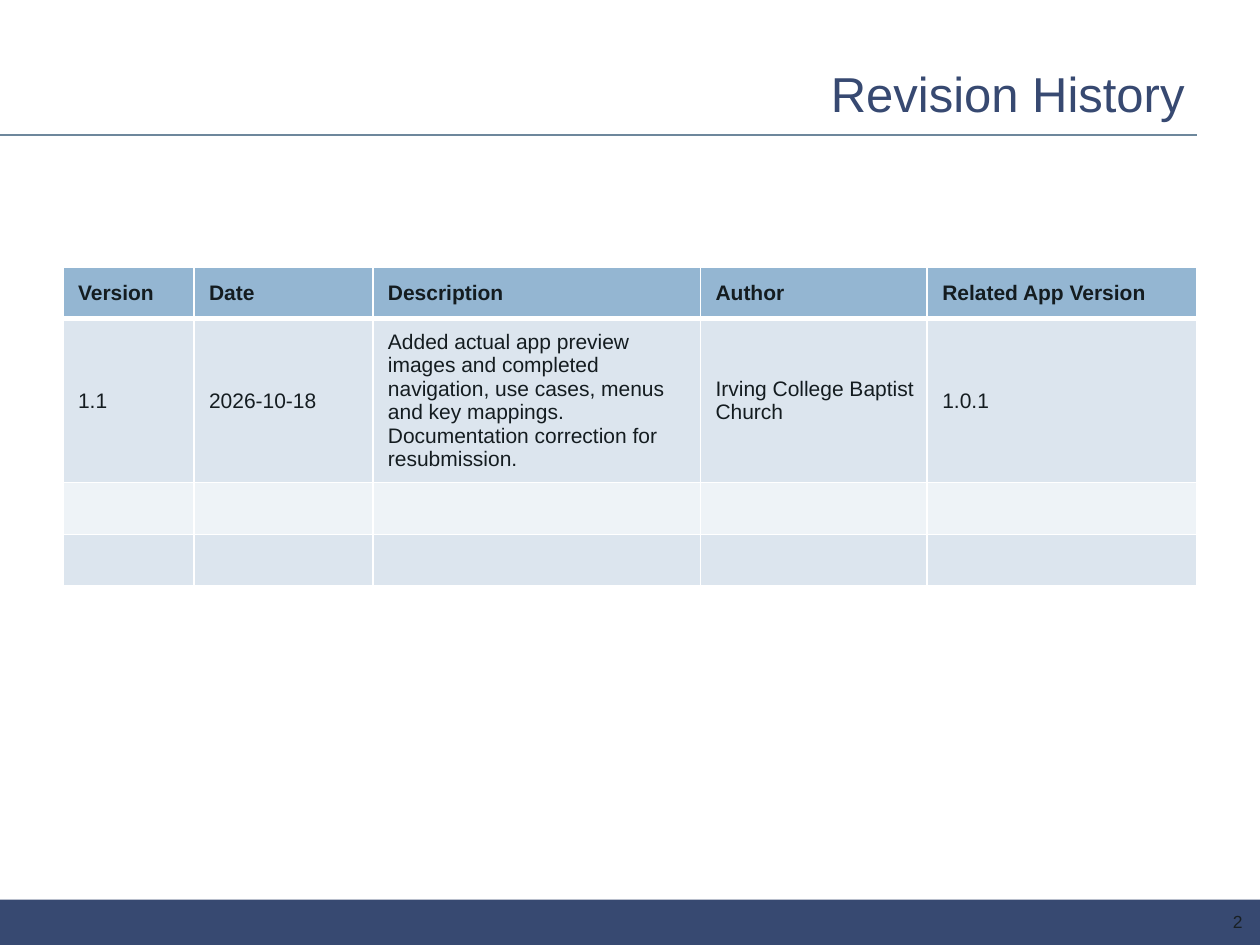
from dataclasses import dataclass

from lxml.etree import SubElement
from pptx import Presentation
from pptx.dml.color import RGBColor
from pptx.enum.shapes import MSO_CONNECTOR as Connector, MSO_SHAPE as Shape
from pptx.enum.text import MSO_ANCHOR as Anchor, PP_ALIGN as Align
from pptx.oxml.ns import qn
from pptx.util import Inches, Pt


@dataclass(frozen=True)
class Theme:
    font: str = "Arial"
    navy: str = "374971"
    rule: str = "6D879C"
    ink: str = "141C20"
    number_ink: str = "192024"
    header: str = "94B6D2"
    bands: tuple = ("DCE5EE", "EEF3F7")
    border: str = "FFFFFF"
    title_size: int = 28
    body_size: int = 12
    number_size: int = 10


THEME = Theme()
WIDTH, HEIGHT = 10, 7.5
MARGIN = WIDTH * 0.05
CONTENT = WIDTH - 2 * MARGIN
COLUMNS = (1.04, 1.42, 2.6, 1.8, 2.14)
ROWS = (0.41, 1.3, 0.41, 0.41)
REVISIONS = (
    ("Version", "Date", "Description", "Author", "Related App Version"),
    ("1.1", "2026-10-18",
     "Added actual app preview images and completed navigation, use cases, "
     "menus and key mappings. Documentation correction for resubmission.",
     "Irving College Baptist Church", "1.0.1"),
    ("",) * len(COLUMNS),
    ("",) * len(COLUMNS),
)


def color(code):
    return RGBColor.from_string(code)


def inches(box):
    return [Inches(length) for length in box]


def write(frame, text, size=THEME.body_size, ink=THEME.ink, bold=False,
          align=Align.LEFT, after=0):
    frame.word_wrap = True
    paragraph = frame.paragraphs[0]
    paragraph.text = text
    paragraph.alignment = align
    paragraph.space_after = Pt(after)
    font = paragraph.font
    font.name, font.size, font.bold = THEME.font, Pt(size), bold
    font.color.rgb = color(ink)


def add_border(cell, side, points):
    line = SubElement(cell._tc.get_or_add_tcPr(), qn(f"a:ln{side}"),
                      w=str(Pt(points)))
    fill = SubElement(line, qn("a:solidFill"))
    SubElement(fill, qn("a:srgbClr"), val=THEME.border)


def add_heading(slide, box):
    left, top, width, height = box
    for start in (0, left):
        rule = slide.shapes.add_connector(
            Connector.STRAIGHT,
            *inches((start, top + height, left + width, top + height)))
        rule.line.color.rgb = color(THEME.rule)
        rule.line.width = Pt(1)
        SubElement(rule._element.spPr, qn("a:effectLst"))
    title = slide.shapes.title
    title.left, title.top, title.width, title.height = inches(box)
    title.text_frame.vertical_anchor = Anchor.MIDDLE
    write(title.text_frame, "Revision History", size=THEME.title_size,
          ink=THEME.navy, align=Align.RIGHT)


def add_footer(slide, box):
    left, top, width, height = box
    band = slide.shapes.add_shape(Shape.RECTANGLE, *inches(box))
    band.shadow.inherit = False
    band.fill.solid()
    band.fill.fore_color.rgb = color(THEME.navy)
    band.line.fill.background()
    number = slide.shapes.add_textbox(*inches(
        (left + width * 0.771, top + height * 0.2, width * 0.225, height * 0.58)))
    frame = number.text_frame
    frame.vertical_anchor = Anchor.MIDDLE
    frame.margin_top = frame.margin_bottom = 0
    write(frame, "2", size=THEME.number_size, ink=THEME.number_ink,
          align=Align.RIGHT, after=9)


def add_revisions(slide, box):
    left, top, width, height = box
    table = slide.shapes.add_table(len(ROWS), len(COLUMNS), *inches(box)).table
    for column, share in zip(table.columns, COLUMNS):
        column.width = Inches(width * share / sum(COLUMNS))
    for row, share in zip(table.rows, ROWS):
        row.height = Inches(height * share / sum(ROWS))
    for r, entries in enumerate(REVISIONS):
        heading = r == 0
        for c, entry in enumerate(entries):
            cell = table.cell(r, c)
            cell.margin_left, cell.margin_right = Inches(0.12), Inches(0.1)
            cell.margin_top = cell.margin_bottom = Inches(0.05)
            cell.vertical_anchor = Anchor.MIDDLE
            write(cell.text_frame, entry, bold=heading)
            for side in "LRTB":
                thick = (r, side) in ((0, "B"), (1, "T"))
                add_border(cell, side, 3 if thick else 1)
            cell.fill.solid()
            cell.fill.fore_color.rgb = color(
                THEME.header if heading else THEME.bands[(r - 1) % 2])


def main():
    deck = Presentation()
    deck.slide_width, deck.slide_height = inches((WIDTH, HEIGHT))
    slide = deck.slides.add_slide(deck.slide_layouts[5])
    add_footer(slide, (0, HEIGHT - 0.36, WIDTH, 0.36))
    add_heading(slide, (MARGIN, 0.4, CONTENT, 0.67))
    add_revisions(slide, (MARGIN, 2.12, CONTENT, sum(ROWS)))
    deck.save("out.pptx")


if __name__ == "__main__":
    main()
